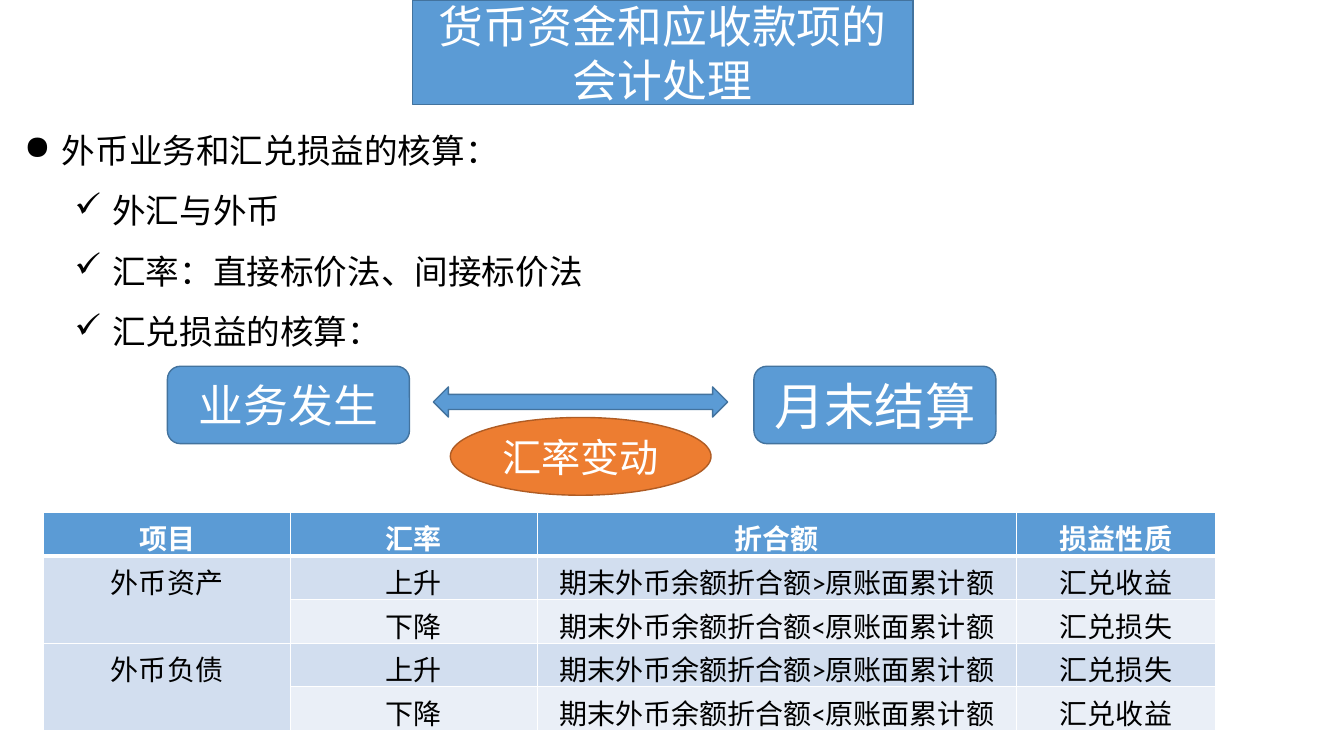
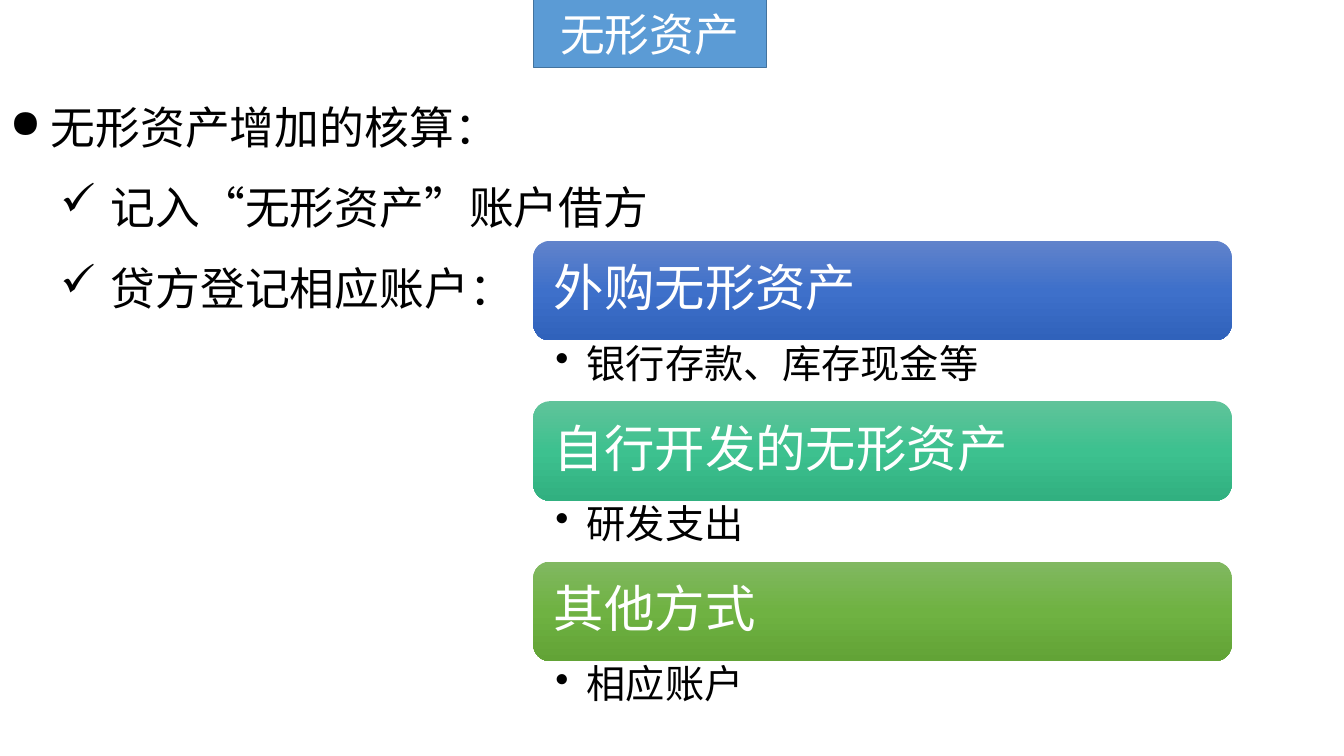
from dataclasses import dataclass
from typing import Any, NamedTuple, Optional

import lxml.etree
import pptx
import pptx.chart.data
import pptx.dml.color
import pptx.enum.shapes
import pptx.enum.text
import pptx.oxml.ns
import pptx.util

Cm = pptx.util.Cm
Pt = pptx.util.Pt
qn = pptx.oxml.ns.qn
SHAPE = pptx.enum.shapes.MSO_SHAPE
ALIGN = pptx.enum.text.PP_ALIGN
ANCHOR = pptx.enum.text.MSO_ANCHOR


@dataclass(frozen=True)
class Theme:
    font: str = "Calibri"
    text: str = "000000"
    white: str = "FFFFFF"
    blue: str = "5B9BD5"
    blue_line: str = "43739E"
    orange: str = "ED7D31"
    orange_line: str = "AF5C24"
    bands: tuple[str, str] = ("D2DEEF", "EAEFF7")
    table_size: int = 20
    body_size: int = 24
    detail_size: int = 28
    title_size: int = 32
    heading_size: int = 36


THEME = Theme()


class Box(NamedTuple):
    left: float
    top: float
    width: float
    height: float


class Bullet(NamedTuple):
    char: str
    indent: float
    hanging: float
    level: int = 0
    percent: int = 100


class Item(NamedTuple):
    text: str
    bullet: Bullet


class Node(NamedTuple):
    kind: Any
    box: Box
    text: str = ""
    size: int = THEME.title_size
    fill: str = THEME.blue
    line: str = THEME.blue_line


class Account(NamedTuple):
    heading: str
    detail: str
    stops: tuple[str, str, str]


def rgb(value: str) -> pptx.dml.color.RGBColor:
    return pptx.dml.color.RGBColor.from_string(value)


def apply(obj: Any, formats: dict[str, Any]) -> None:
    for name, value in formats.items():
        setattr(obj, name, value)


def lengths(box: Box) -> dict[str, int]:
    return {name: Cm(value) for name, value in box._asdict().items()}


def write(p: Any, text: str, size: int, color: str, bold: bool = False) -> None:
    r = p.add_run()
    r.text = text
    apply(r.font, {"name": THEME.font, "size": Pt(size), "bold": bold})
    r.font.color.rgb = rgb(color)


def paint(sp: Any, fill: str, line: str) -> None:
    sp.fill.solid()
    sp.fill.fore_color.rgb = rgb(fill)
    sp.line.color.rgb = rgb(line)
    sp.line.width = Pt(1)


def add_bullet(p: Any, bullet: Bullet) -> None:
    p.level = bullet.level
    pPr = p._p.get_or_add_pPr()
    pPr.set("marL", str(Cm(bullet.indent)))
    pPr.set("indent", str(-Cm(bullet.hanging)))
    lxml.etree.SubElement(pPr, qn("a:buSzPct")).set("val", str(bullet.percent * 1000))
    lxml.etree.SubElement(pPr, qn("a:buChar")).set("char", bullet.char)


def add_title_slide(prs: Any, text: str, box: Box) -> Any:
    s = prs.slides.add_slide(prs.slide_layouts[5])
    sp = s.shapes.title
    apply(sp, lengths(box))
    geom = lxml.etree.SubElement(sp._element.spPr, qn("a:prstGeom"))
    geom.set("prst", "roundRect")
    lxml.etree.SubElement(geom, qn("a:avLst"))
    paint(sp, THEME.blue, THEME.blue_line)
    tf = sp.text_frame
    apply(tf, {"word_wrap": True, "vertical_anchor": ANCHOR.MIDDLE,
               "auto_size": pptx.enum.text.MSO_AUTO_SIZE.NONE})
    tf.paragraphs[0].alignment = ALIGN.CENTER
    write(tf.paragraphs[0], text, THEME.title_size, THEME.white)
    return s


def add_list(s: Any, box: Box, items: list[Item], size: int,
             spacing: float = 1.5, margins: Optional[dict[str, int]] = None) -> None:
    tf = s.shapes.add_textbox(**lengths(box)).text_frame
    apply(tf, {"word_wrap": True, **(margins or {})})
    for i, item in enumerate(items):
        p = tf.add_paragraph() if i else tf.paragraphs[0]
        add_bullet(p, item.bullet)
        p.line_spacing = spacing
        write(p, item.text, size, THEME.text)


def add_node(s: Any, node: Node) -> None:
    sp = s.shapes.add_shape(node.kind, **lengths(node.box))
    sp.shadow.inherit = False
    paint(sp, node.fill, node.line)
    if node.text:
        p = sp.text_frame.paragraphs[0]
        p.alignment = ALIGN.CENTER
        write(p, node.text, node.size, THEME.white)


def set_borders(cell: Any, widths: dict[str, int]) -> None:
    tcPr = cell._tc.get_or_add_tcPr()
    for side, width in widths.items():
        ln = lxml.etree.SubElement(tcPr, qn(f"a:ln{side}"))
        ln.set("w", str(Pt(width)))
        fill = lxml.etree.SubElement(ln, qn("a:solidFill"))
        lxml.etree.SubElement(fill, qn("a:srgbClr")).set("val", THEME.white)


def add_rate_table(s: Any, left: float, top: float, widths: list[float],
                   row_height: float, rows: list[tuple[str, ...]]) -> None:
    box = Box(left, top, sum(widths), row_height * len(rows))
    table = s.shapes.add_table(len(rows), len(widths), **lengths(box)).table
    for column, width in zip(table.columns, widths):
        column.width = Cm(width)
    for i, row in enumerate(rows):
        table.rows[i].height = Cm(row_height)
        header = i == 0
        for j, text in enumerate(row):
            cell = table.cell(i, j)
            set_borders(cell, {"L": 1, "R": 1, "T": 3 if i == 1 else 1,
                               "B": 3 if header else 1})
            cell.fill.solid()
            cell.fill.fore_color.rgb = rgb(THEME.blue if header else THEME.bands[(i - 1) % 2])
            if text:
                p = cell.text_frame.paragraphs[0]
                p.alignment = ALIGN.CENTER
                write(p, text, THEME.table_size,
                      THEME.white if header else THEME.text, header)
            else:
                table.cell(i - 1, j).merge(cell)


def fill_gradient(sp: Any, stops: tuple[str, ...]) -> None:
    sp.fill.gradient()
    sp.fill.gradient_angle = 270
    gs_list = sp._element.spPr.find(".//" + qn("a:gsLst"))
    for gs in list(gs_list):
        gs_list.remove(gs)
    for i, color in enumerate(stops):
        gs = lxml.etree.SubElement(gs_list, qn("a:gs"))
        gs.set("pos", str(100000 * i // (len(stops) - 1)))
        lxml.etree.SubElement(gs, qn("a:srgbClr")).set("val", color)


def add_account(s: Any, account: Account, top: float) -> None:
    left, width, bar_height, detail_height = 13.44, 17.6, 2.51, 1.52
    sp = s.shapes.add_shape(SHAPE.ROUNDED_RECTANGLE,
                            **lengths(Box(left, top, width, bar_height)))
    sp.shadow.inherit = False
    fill_gradient(sp, account.stops)
    sp.line.fill.background()
    tf = sp.text_frame
    apply(tf, {"margin_left": Cm(0.4), "margin_right": Cm(0.4)})
    apply(tf.paragraphs[0], {"alignment": ALIGN.LEFT, "line_spacing": 0.9})
    write(tf.paragraphs[0], account.heading, THEME.heading_size, THEME.white)
    add_list(s, Box(left, top + bar_height, width, detail_height),
             [Item(account.detail, Bullet("•", 0.79, 0.79, 1))],
             THEME.detail_size, 0.9,
             {"margin_left": Cm(0.56), "margin_right": Cm(0.56),
              "margin_top": Cm(0.1), "margin_bottom": Cm(0.1)})


def build_currency_slide(prs: Any) -> None:
    s = add_title_slide(prs, "货币资金和应收款项的会计处理", Box(10.39, 0, 12.62, 2.64))
    check = Bullet("✓", 2.22, 0.95, 1)
    add_list(s, Box(0.36, 2.64, 33.05, 7.95), [
        Item("外币业务和汇兑损益的核算：", Bullet("●", 0.95, 0.95)),
        Item("外汇与外币", check),
        Item("汇率：直接标价法、间接标价法", check),
        Item("汇兑损益的核算：", check),
    ], THEME.body_size)
    for node in (
        Node(SHAPE.ROUNDED_RECTANGLE, Box(4.22, 9.23, 6.1, 1.95), "业务发生"),
        Node(SHAPE.ROUNDED_RECTANGLE, Box(19, 9.23, 6.1, 1.95), "月末结算",
             THEME.heading_size),
        Node(SHAPE.LEFT_RIGHT_ARROW, Box(10.92, 9.75, 7.42, 0.76)),
        Node(SHAPE.OVAL, Box(11.35, 10.52, 6.57, 1.96), "汇率变动",
             THEME.detail_size, THEME.orange, THEME.orange_line),
    ):
        add_node(s, node)
    above, below = "期末外币余额折合额>原账面累计额", "期末外币余额折合额<原账面累计额"
    gain, loss = "汇兑收益", "汇兑损失"
    add_rate_table(s, 1.1, 12.9, [6.22, 6.22, 12.07, 5.03], 1.1, [
        ("项目", "汇率", "折合额", "损益性质"),
        ("外币资产", "上升", above, gain),
        ("", "下降", below, loss),
        ("外币负债", "上升", above, loss),
        ("", "下降", below, gain),
    ])


def build_intangible_slide(prs: Any) -> None:
    s = add_title_slide(prs, "无形资产", Box(13.44, -0.03, 5.87, 1.73))
    check = Bullet("✓", 2.54, 1.27, 1)
    add_list(s, Box(0, 1.7, 33.87, 6.4), [
        Item("无形资产增加的核算：", Bullet("●", 1.03, 1.03, percent=88)),
        Item("记入“无形资产”账户借方", check),
        Item("贷方登记相应账户：", check),
    ], THEME.title_size)
    accounts = (
        Account("外购无形资产", "银行存款、库存现金等", ("6183CB", "3E70CA", "3062BB")),
        Account("自行开发的无形资产", "研发支出", ("60C39A", "3DC18F", "31B080")),
        Account("其他方式", "相应账户", ("81B861", "6FB242", "62A336")),
    )
    for i, account in enumerate(accounts):
        add_account(s, account, 6.07 + i * 4.04)


def main() -> None:
    prs = pptx.Presentation()
    apply(prs, {"slide_width": Cm(33.87), "slide_height": Cm(19.05)})
    build_currency_slide(prs)
    build_intangible_slide(prs)
    prs.save("out.pptx")


if __name__ == "__main__":
    main()
